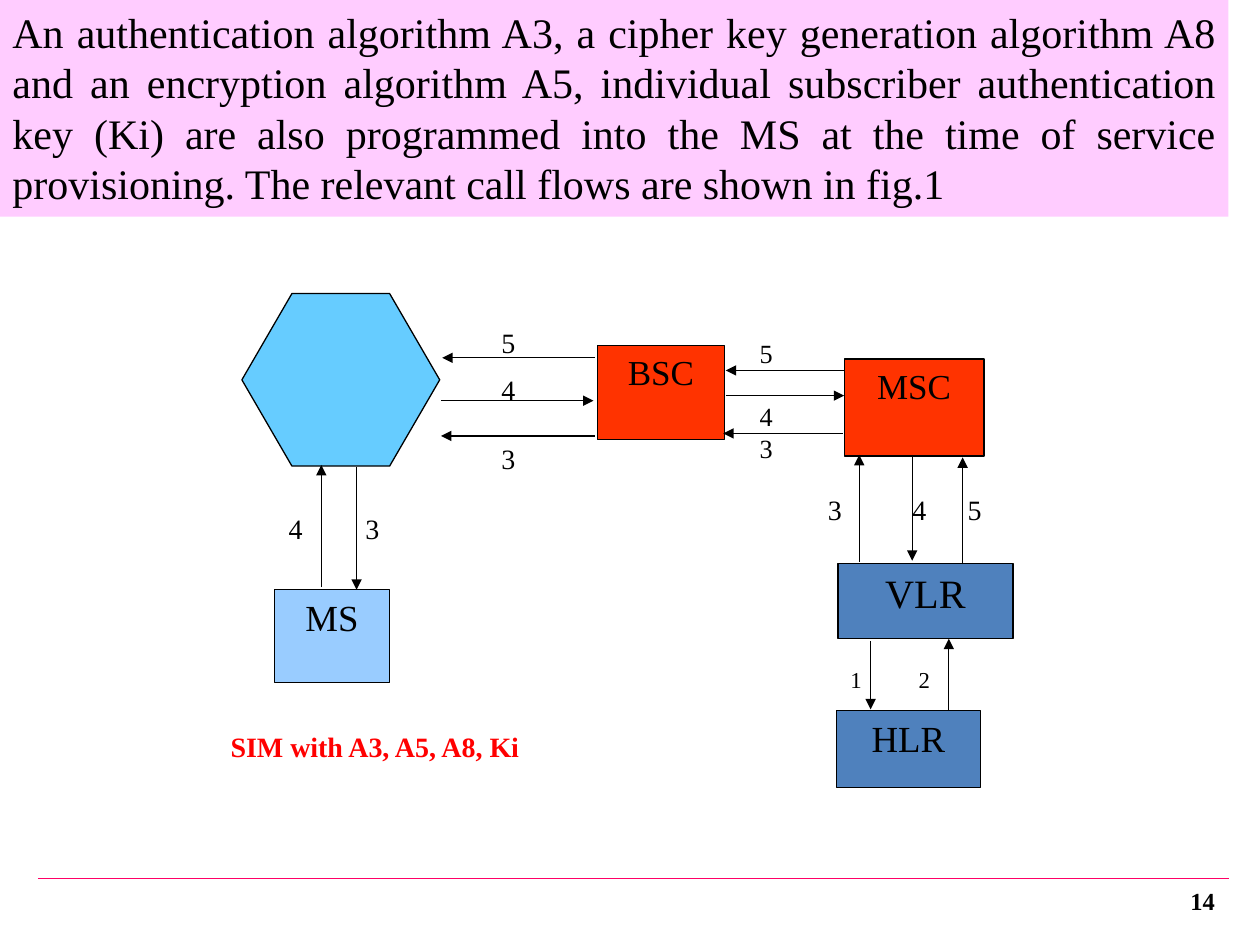
from lxml.etree import SubElement
from pptx import Presentation
from pptx.dml.color import RGBColor
from pptx.enum.shapes import MSO_CONNECTOR as Link, MSO_SHAPE as Shape
from pptx.enum.text import MSO_ANCHOR as Anchor, PP_ALIGN as Align
from pptx.oxml.ns import qn
from pptx.util import Inches, Pt

FONT = "Times New Roman"
BLACK = RGBColor(0, 0, 0)
RED = RGBColor(0xFF, 0, 0)
ORANGE = RGBColor(0xFF, 0x33, 0)
BLUE = RGBColor(0x4F, 0x81, 0xBD)
SKY = RGBColor(0x66, 0xCC, 0xFF)
PALE = RGBColor(0x99, 0xCC, 0xFF)
PINK = RGBColor(0xFF, 0xCC, 0xFF)
ROSE = RGBColor(0xFF, 0, 0x66)

INTRO = (
    "An authentication algorithm A3, a cipher key generation algorithm A8 "
    "and an encryption algorithm A5, individual subscriber authentication "
    "key (Ki) are also programmed into the MS at the time of service "
    "provisioning. The relevant call flows are shown in fig.1"
)

# name, place, text size, fill
NODES = [
    ("BSC", (4.74, 2.74, 1.01, 0.75), 20, ORANGE),
    ("MSC", (6.7, 2.85, 1.11, 0.77), 20, ORANGE),
    ("MS", (2.18, 4.68, 0.91, 0.74), 21, PALE),
    ("VLR", (6.65, 4.47, 1.39, 0.6), 23, BLUE),
    ("HLR", (6.64, 5.64, 1.14, 0.61), 21, BLUE),
]

# start x, start y, end x, end y
ARROWS = [
    (4.72, 2.84, 3.51, 2.84),
    (3.5, 3.18, 4.71, 3.18),
    (4.72, 3.46, 3.5, 3.46),
    (6.7, 2.94, 5.76, 2.94),
    (5.76, 3.14, 6.7, 3.14),
    (6.69, 3.44, 5.74, 3.44),
    (6.82, 4.46, 6.82, 3.61),
    (7.24, 3.61, 7.24, 4.45),
    (7.64, 4.48, 7.64, 3.63),
    (6.91, 5.09, 6.91, 5.63),
    (7.53, 5.64, 7.53, 5.07),
    (2.55, 4.66, 2.55, 3.69),
    (2.83, 3.71, 2.83, 4.68),
]

# steps, place, text size, space before each step
STACKS = [
    ("543", (3.9, 2.54, 0.57, 1.61), 16, (0, 8, 20)),
    ("543", (5.95, 2.64, 0.57, 1.61), 15, (0, 18, 0)),
]

# steps, place, text size, tab stops
ROWS = [
    ("345", (6.49, 3.87, 1.55, 0.38), 16, (0.67, 1.11)),
    ("12", (6.67, 5.24, 0.9, 0.4), 13, (0.54,)),
    ("43", (2.21, 4.02, 1.22, 0.48), 16, (0.61,)),
]


def style(para, size, color=BLACK, bold=False, align=Align.LEFT):
    para.alignment = align
    font = para.font
    font.name, font.size, font.bold = FONT, Pt(size), bold
    font.color.rgb = color


def inset(frame, side=0.08, top=0.04):
    frame.word_wrap = True
    frame.margin_left = frame.margin_right = Inches(side)
    frame.margin_top = frame.margin_bottom = Inches(top)


def add_block(slide, kind, place, fill, edge=True):
    block = slide.shapes.add_shape(kind, *map(Inches, place))
    block.shadow.inherit = False
    block.fill.solid()
    block.fill.fore_color.rgb = fill
    if edge:
        block.line.color.rgb = BLACK
        block.line.width = Pt(0.75)
    else:
        block.line.fill.background()
    return block


def add_node(slide, name, place, size, fill):
    frame = add_block(slide, Shape.RECTANGLE, place, fill).text_frame
    inset(frame)
    frame.vertical_anchor = Anchor.TOP
    frame.text = name
    style(frame.paragraphs[0], size, align=Align.CENTER)


def add_line(slide, ends, color=BLACK, arrow=True):
    line = slide.shapes.add_connector(Link.STRAIGHT, *map(Inches, ends))
    line.line.color.rgb = color
    line.line.width = Pt(0.75)
    if arrow:
        SubElement(line.line._get_or_add_ln(), qn("a:tailEnd"), type="triangle")
    SubElement(line._element.spPr, qn("a:effectLst"))


def add_label(slide, text, place):
    frame = slide.shapes.add_textbox(*map(Inches, place)).text_frame
    inset(frame)
    frame.text = text
    return frame


def add_stack(slide, steps, place, size, gaps):
    """Put step numbers one below the other."""
    frame = add_label(slide, "\n".join(steps), place)
    for para, gap in zip(frame.paragraphs, gaps):
        para.space_before = Pt(gap)
        style(para, size)


def add_row(slide, steps, place, size, stops):
    """Put step numbers side by side at tab stops."""
    para = add_label(slide, "\t".join(steps), place).paragraphs[0]
    tabs = SubElement(para._p.get_or_add_pPr(), qn("a:tabLst"))
    for stop in stops:
        SubElement(tabs, qn("a:tab"), pos=str(Inches(stop)), algn="l")
    style(para, size)


def add_intro(slide):
    place = (0, 0, 9.75, 1.72)
    frame = add_block(slide, Shape.RECTANGLE, place, PINK, edge=False).text_frame
    inset(frame, 0.1, 0.05)
    frame.vertical_anchor = Anchor.TOP
    frame.text = INTRO
    style(frame.paragraphs[0], 24, align=Align.JUSTIFY)


def add_number(slide):
    frame = add_label(slide, "14", (8.83, 6.95, 0.91, 0.4))
    inset(frame, 0.1, 0.05)
    frame.vertical_anchor = Anchor.MIDDLE
    style(frame.paragraphs[0], 14, bold=True, align=Align.RIGHT)


def main():
    deck = Presentation()
    deck.slide_width, deck.slide_height = Inches(10), Inches(7.5)
    slide = deck.slides.add_slide(deck.slide_layouts[6])

    add_line(slide, (0.3, 6.97, 9.75, 6.97), ROSE, arrow=False)
    cell = add_block(slide, Shape.HEXAGON, (1.92, 2.33, 1.57, 1.37), SKY)
    cell.adjustments[0] = 0.29
    for node in NODES:
        add_node(slide, *node)
    for ends in ARROWS:
        add_line(slide, ends)
    for stack in STACKS:
        add_stack(slide, *stack)
    for row in ROWS:
        add_row(slide, *row)
    note = add_label(slide, "SIM with A3, A5, A8, Ki", (1.75, 5.75, 2.58, 0.42))
    style(note.paragraphs[0], 16, RED, bold=True)
    add_intro(slide)
    add_number(slide)

    deck.save("out.pptx")


if __name__ == "__main__":
    main()
